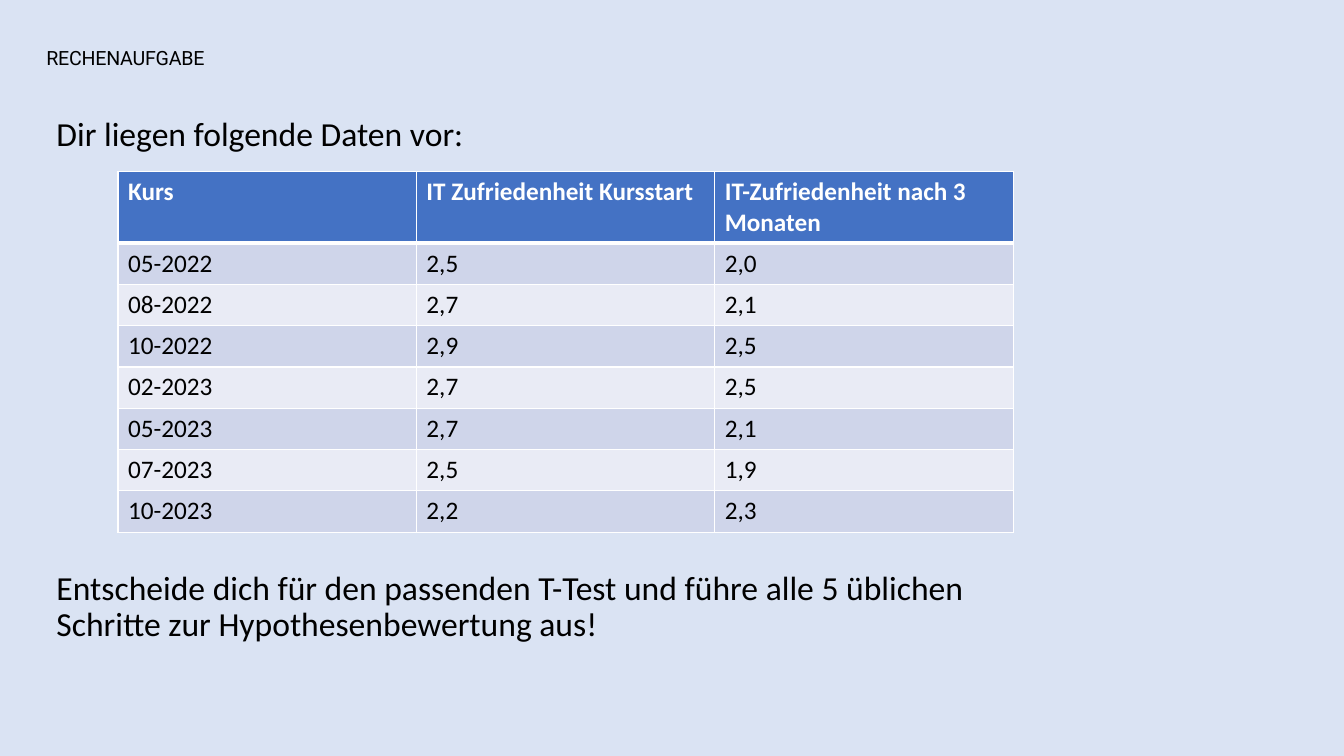
import pptx
import pptx.dml.color
import pptx.enum.text
import pptx.oxml
import pptx.oxml.ns
import pptx.util
from pptx.util import Inches

ROWS = [
    ("Kurs", "IT Zufriedenheit Kursstart", "IT-Zufriedenheit nach 3 Monaten"),
    ("05-2022", "2,5", "2,0"),
    ("08-2022", "2,7", "2,1"),
    ("10-2022", "2,9", "2,5"),
    ("02-2023", "2,7", "2,5"),
    ("05-2023", "2,7", "2,1"),
    ("07-2023", "2,5", "1,9"),
    ("10-2023", "2,2", "2,3"),
]


def rgb(value):
    return pptx.dml.color.RGBColor.from_string(value)


def add_text(p, text, font="Calibri", size=18, color="000000", bold=False,
             line=None, before=0, tracking=None):
    """Add one formatted run to a paragraph and set its spacing."""
    p.alignment = pptx.enum.text.PP_ALIGN.LEFT
    p.space_before = pptx.util.Pt(before)
    p.line_spacing = line
    r = p.add_run()
    r.text = text
    r.font.name = font
    r.font.size = pptx.util.Pt(size)
    r.font.bold = bold
    r.font.color.rgb = rgb(color)
    if tracking is not None:
        r.font._element.set("spc", str(round(tracking * 100)))


def set_borders(cell, color, bottom, top):
    """Draw all four cell borders; bottom and top are widths in points."""
    tcPr = cell._tc.get_or_add_tcPr()
    widths = {"lnL": 1, "lnR": 1, "lnT": top, "lnB": bottom}
    for i, (tag, width) in enumerate(widths.items()):
        tcPr.insert(i, pptx.oxml.parse_xml(
            f'<a:{tag} {pptx.oxml.ns.nsdecls("a")} w="{pptx.util.Pt(width)}">'
            f'<a:solidFill><a:srgbClr val="{color}"/></a:solidFill></a:{tag}>'))


class TaskSlide:
    header_fill = "4472C4"
    band_fills = ("E9EBF5", "CFD5EA")
    white = "FFFFFF"

    def __init__(self, prs, background):
        self.s = prs.slides.add_slide(prs.slide_layouts[1])
        fill = self.s.background.fill
        fill.solid()
        fill.fore_color.rgb = rgb(background)

    def place(self, sp, left, top, width, height, anchor):
        """Move a placeholder and return its text frame."""
        sp.left, sp.top = Inches(left), Inches(top)
        sp.width, sp.height = Inches(width), Inches(height)
        tf = sp.text_frame
        tf.word_wrap = True
        tf.auto_size = pptx.enum.text.MSO_AUTO_SIZE.NONE
        tf.vertical_anchor = anchor
        return tf

    def title(self, text, *box):
        tf = self.place(self.s.shapes.title, *box, pptx.enum.text.MSO_ANCHOR.MIDDLE)
        tf.margin_left = tf.margin_right = tf.margin_top = tf.margin_bottom = 0
        add_text(tf.paragraphs[0], text, font="Roboto", size=14, line=0.9, tracking=-0.2)

    def body(self, paragraphs, *box):
        """Fill the body with (text, space before) pairs, without bullets."""
        tf = self.place(self.s.placeholders[1], *box, pptx.enum.text.MSO_ANCHOR.TOP)
        for i, (text, before) in enumerate(paragraphs):
            p = tf.add_paragraph() if i else tf.paragraphs[0]
            add_text(p, text, size=24, line=0.9, before=before)
            pPr = p._p.get_or_add_pPr()
            pPr.set("marL", "0")
            pPr.set("indent", "0")
            pPr.append(pptx.oxml.parse_xml(f'<a:buNone {pptx.oxml.ns.nsdecls("a")}/>'))

    def table(self, rows, left, top, col_width, header_height, row_height):
        columns = len(rows[0])
        height = header_height + row_height * (len(rows) - 1)
        table = self.s.shapes.add_table(
            len(rows), columns, Inches(left), Inches(top),
            Inches(col_width * columns), Inches(height)).table
        for column in table.columns:
            column.width = Inches(col_width)
        for i, row in enumerate(rows):
            header = i == 0
            table.rows[i].height = Inches(header_height if header else row_height)
            for j, text in enumerate(row):
                cell = table.cell(i, j)
                cell.fill.solid()
                cell.fill.fore_color.rgb = rgb(
                    self.header_fill if header else self.band_fills[i % 2])
                set_borders(cell, self.white, bottom=3 if header else 1,
                            top=3 if i == 1 else 1)
                add_text(cell.text_frame.paragraphs[0], text, bold=header,
                         color=self.white if header else "000000")


def main():
    prs = pptx.Presentation()
    prs.slide_width, prs.slide_height = Inches(13.33), Inches(7.5)
    slide = TaskSlide(prs, "DAE3F3")
    slide.title("RECHENAUFGABE", 0.46, 0.38, 12.41, 0.42)
    slide.body([
        ("Dir liegen folgende Daten vor:", 10),
        ("Entscheide dich für den passenden T-Test und führe alle 5 üblichen "
         "Schritte zur Hypothesenbewertung aus!", 298),
    ], 0.46, 1.12, 10.3, 5.59)
    slide.table(ROWS, 1.17, 1.7, col_width=2.96, header_height=0.71, row_height=0.41)
    prs.save("out.pptx")


if __name__ == "__main__":
    main()
